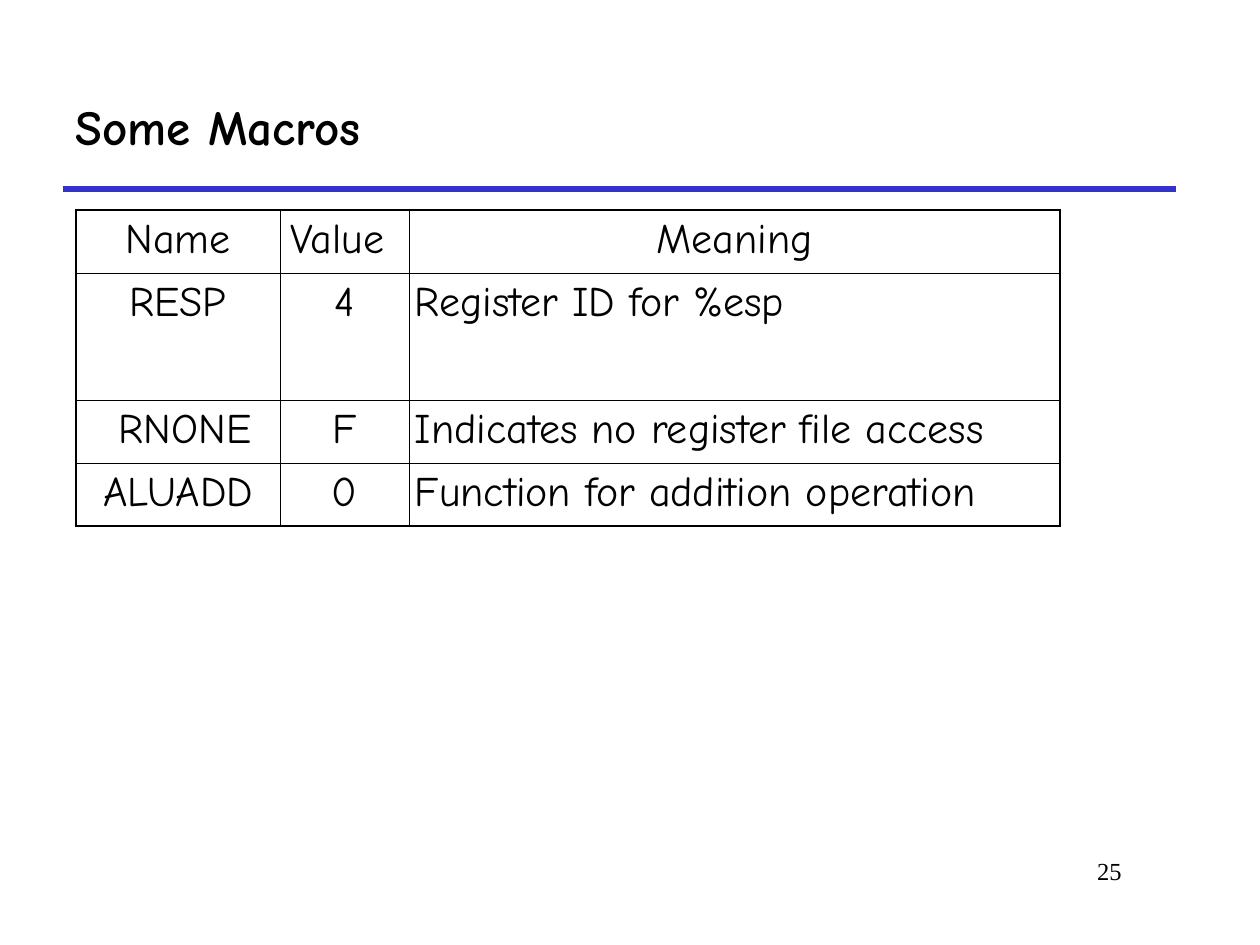
from lxml import etree
from pptx import Presentation
from pptx.dml.color import RGBColor
from pptx.enum.shapes import MSO_CONNECTOR
from pptx.enum.text import MSO_ANCHOR, MSO_AUTO_SIZE, PP_ALIGN
from pptx.oxml.ns import qn
from pptx.util import Pt

LEFT, CENTER, RIGHT = PP_ALIGN.LEFT, PP_ALIGN.CENTER, PP_ALIGN.RIGHT
MIDDLE = MSO_ANCHOR.MIDDLE
NO_FIT = MSO_AUTO_SIZE.NONE
STRAIGHT = MSO_CONNECTOR.STRAIGHT
COLORS = {"text": "000000", "rule": "3333CC", "cell": "FFFFFF", "border": "000000"}
FORMATS = {
    "title": {"name": "Comic Neue", "size": Pt(28), "bold": True},
    "cell": {"name": "Comic Neue", "size": Pt(24), "bold": False},
    "number": {"name": "Times New Roman", "size": Pt(14), "bold": False},
}


def px(value):
    return round(value * 914400 / 126)


def write(text_frame, text, style, alignment):
    paragraph = text_frame.paragraphs[0]
    paragraph.alignment = alignment
    run = paragraph.add_run()
    run.text = text
    for name, value in FORMATS[style].items():
        setattr(run.font, name, value)
    run.font.color.rgb = RGBColor.from_string(COLORS["text"])


presentation = Presentation()
presentation.slide_width, presentation.slide_height = px(1260), px(945)
slide = presentation.slides.add_slide(presentation.slide_layouts[5])

rule = slide.shapes.add_connector(STRAIGHT, px(63), px(189), px(1176), px(189))
rule.line.color.rgb = RGBColor.from_string(COLORS["rule"])
rule.line.width = Pt(3)
etree.SubElement(rule._element.spPr, qn("a:effectLst"))

number = slide.shapes.add_textbox(px(955), px(850), px(179), px(63))
number.text_frame.word_wrap = True
write(number.text_frame, "25", "number", RIGHT)

title = slide.shapes.title
title.left, title.top, title.width, title.height = px(63), px(63), px(1113), px(126)
title.text_frame.auto_size = NO_FIT
title.text_frame.vertical_anchor = MIDDLE
write(title.text_frame, "Some Macros", "title", LEFT)

macros = [
    ("Name", "Value ", "Meaning"),
    ("RESP", "4", "Register ID for %esp"),
    (" RNONE", "F", "Indicates no register file access"),
    ("ALUADD", "0", "Function for addition operation"),
]
column_widths = [204, 129, 651]
row_heights = [63, 127, 63, 63]
last_row, last_column = len(row_heights) - 1, len(column_widths) - 1
table = slide.shapes.add_table(
    len(row_heights), len(column_widths), px(76), px(210),
    px(sum(column_widths)), px(sum(row_heights))).table
table.first_row = table.horz_banding = False
for column, width in zip(table.columns, column_widths):
    column.width = px(width)
for row, height in zip(table.rows, row_heights):
    row.height = px(height)

for row_index, macro in enumerate(macros):
    for column_index, text in enumerate(macro):
        cell = table.cell(row_index, column_index)
        for side in ("left", "top", "right", "bottom"):
            setattr(cell, "margin_" + side, px(6))
        cell.fill.solid()
        cell.fill.fore_color.rgb = RGBColor.from_string(COLORS["cell"])
        is_meaning = row_index > 0 and column_index == last_column
        write(cell.text_frame, text, "cell", LEFT if is_meaning else CENTER)
        outer_edges = {
            "a:lnL": column_index == 0,
            "a:lnR": column_index == last_column,
            "a:lnT": row_index == 0,
            "a:lnB": row_index == last_row,
        }
        properties = cell._tc.get_or_add_tcPr()
        for position, (tag, is_outer) in enumerate(outer_edges.items()):
            border = etree.Element(qn(tag), w=str(Pt(1.08 if is_outer else 0.45)))
            fill = etree.SubElement(border, qn("a:solidFill"))
            etree.SubElement(fill, qn("a:srgbClr"), val=COLORS["border"])
            properties.insert(position, border)

presentation.save("out.pptx")
